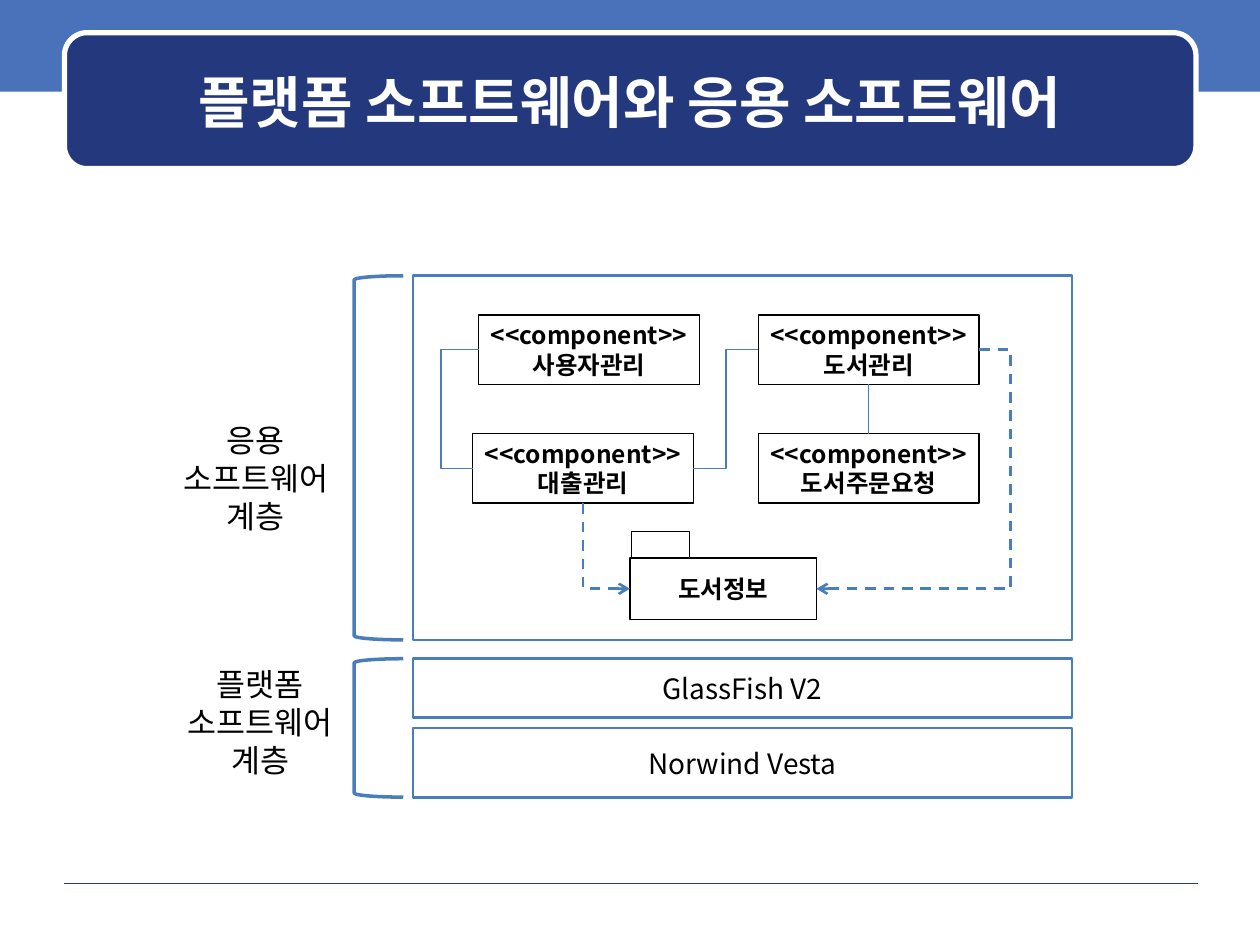
from dataclasses import dataclass

from pptx import Presentation
from pptx.dml.color import RGBColor
from pptx.enum.dml import MSO_LINE
from pptx.enum.shapes import MSO_CONNECTOR as CONN, MSO_SHAPE as SHAPE
from pptx.enum.text import MSO_ANCHOR, PP_ALIGN
from pptx.oxml.ns import qn
from pptx.util import Cm, Pt
from lxml.etree import SubElement


@dataclass(frozen=True)
class Theme:
    font: str = "Noto Sans CJK KR"
    band: str = "4972BB"
    title_fill: str = "23387D"
    rule: str = "1A3D97"
    accent: str = "4A7EBB"
    ink: str = "000000"
    paper: str = "FFFFFF"
    title_size: int = 32
    label_size: int = 18
    platform_size: int = 16
    component_size: int = 14


T = Theme()


def rgb(value):
    return RGBColor.from_string(value)


def write(sp, lines, size, color=T.ink, bold=False, side=0.25, wrap=True):
    """Put centred lines of text into a shape, one paragraph each."""
    tf = sp.text_frame
    tf.word_wrap = wrap
    tf.vertical_anchor = MSO_ANCHOR.MIDDLE
    tf.margin_left = tf.margin_right = Cm(side)
    tf.text = "\n".join(lines)
    for p in tf.paragraphs:
        p.alignment = PP_ALIGN.CENTER
        p.font.name, p.font.size, p.font.bold = T.font, Pt(size), bold
        p.font.color.rgb = rgb(color)
        for r in p.runs:
            SubElement(r._r.get_or_add_rPr(), qn("a:ea"), typeface=T.font)


def add_box(s, x, y, w, h, fill=None, line=None, weight=1.5,
            kind=SHAPE.RECTANGLE):
    sp = s.shapes.add_shape(kind, Cm(x), Cm(y), Cm(w), Cm(h))
    sp.shadow.inherit = False
    if fill:
        sp.fill.solid()
        sp.fill.fore_color.rgb = rgb(fill)
    else:
        sp.fill.background()
    if line:
        sp.line.color.rgb = rgb(line)
        sp.line.width = Pt(weight)
    else:
        sp.line.fill.background()
    return sp


def add_bracket(s, y, h):
    add_box(s, 7.14, y, 0.99, h, line=T.accent, weight=2,
            kind=SHAPE.LEFT_BRACKET)


def add_label(s, x, y, w, lines):
    sp = s.shapes.add_textbox(Cm(x), Cm(y), Cm(w), Cm(2.54))
    write(sp, lines, T.label_size, wrap=False)


def add_platform(s, y, h, name):
    sp = add_box(s, 8.33, y, 13.28, h, line=T.accent)
    write(sp, [name], T.platform_size)


def add_component(s, x, y, name):
    sp = add_box(s, x, y, 4.45, 1.4, line=T.ink, weight=0.75)
    write(sp, ["<<component>>", name], T.component_size, bold=True, side=0)
    return sp


def side_point(sp, side):
    """Middle of a side: 0 top, 1 left, 2 bottom, 3 right."""
    mid_x, mid_y = sp.left + sp.width // 2, sp.top + sp.height // 2
    return [(mid_x, sp.top), (sp.left, mid_y),
            (mid_x, sp.top + sp.height), (sp.left + sp.width, mid_y)][side]


def add_line(s, start, end, kind=CONN.STRAIGHT, color=T.accent, weight=0.75):
    c = s.shapes.add_connector(kind, *start, *end)
    c.line.color.rgb = rgb(color)
    c.line.width = Pt(weight)
    SubElement(c._element.spPr, qn("a:effectLst"))
    return c


def add_elbow(s, start, end, via_x=None, **style):
    """Leave start sideways, turn at via_x, and arrive at end sideways."""
    c = add_line(s, start, end, CONN.ELBOW, **style)
    if via_x is not None:
        ratio = (via_x - start[0]) / (end[0] - start[0])
        guides = c._element.spPr.find(qn("a:prstGeom")).get_or_add_avLst()
        SubElement(guides, qn("a:gd"), name="adj1",
                   fmla=f"val {round(ratio * 100000)}")
    return c


def dash_with_arrow(c, end):
    c.line.dash_style = MSO_LINE.DASH
    SubElement(c.line._get_or_add_ln(), qn(f"a:{end}"), type="arrow")


def add_header(s):
    add_box(s, 0, 0, 25.4, 1.85, fill=T.band)
    add_line(s, (Cm(1.3), Cm(17.81)), (Cm(24.16), Cm(17.81)),
             color=T.rule, weight=0.25)
    sp = add_box(s, 1.3, 0.66, 22.81, 2.74, fill=T.title_fill, line=T.paper,
                 weight=3, kind=SHAPE.ROUNDED_RECTANGLE)
    write(sp, ["플랫폼 소프트웨어와 응용 소프트웨어"], T.title_size,
          T.paper, bold=True)


def add_application_layer(s):
    add_bracket(s, 5.56, 7.34)
    add_label(s, 3.18, 8.36, 3.96, ["응용", "소프트웨어", "계층"])
    add_box(s, 8.33, 5.56, 13.28, 7.34, line=T.accent)

    # Components
    users = add_component(s, 9.65, 6.35, "사용자관리")
    books = add_component(s, 15.29, 6.35, "도서관리")
    loans = add_component(s, 9.53, 8.74, "대출관리")
    orders = add_component(s, 15.29, 8.74, "도서주문요청")

    # Package with its tab
    info = add_box(s, 12.7, 11.25, 3.76, 1.24, line=T.ink, weight=0.75)
    write(info, ["도서정보"], T.component_size, bold=True, side=0)
    add_box(s, 12.73, 10.72, 1.17, 0.53, line=T.ink, weight=0.75)

    # Associations
    add_elbow(s, side_point(users, 1), side_point(loans, 1), Cm(8.89))
    add_elbow(s, side_point(loans, 3), side_point(books, 1))
    link = add_line(s, side_point(books, 2), side_point(orders, 0))
    link.begin_connect(books, 2)
    link.end_connect(orders, 0)

    # Dependencies on the package
    c = add_elbow(s, side_point(books, 3), side_point(info, 3), Cm(20.37),
                  weight=1.5)
    dash_with_arrow(c, "tailEnd")
    c = add_elbow(s, side_point(info, 1), side_point(loans, 2), weight=1.5)
    c._element.spPr.find(qn("a:prstGeom")).set("prst", "bentConnector2")
    dash_with_arrow(c, "headEnd")


def add_platform_layer(s):
    add_bracket(s, 13.28, 2.79)
    add_label(s, 3.53, 13.28, 3.43, ["플랫폼", "소프트웨어", "계층"])
    add_platform(s, 13.28, 1.19, "GlassFish V2")
    add_platform(s, 14.68, 1.4, "Norwind Vesta")


def main():
    prs = Presentation()
    prs.slide_width, prs.slide_height = Cm(25.4), Cm(19.05)
    s = prs.slides.add_slide(prs.slide_layouts[6])
    add_header(s)
    add_application_layer(s)
    add_platform_layer(s)
    prs.save("out.pptx")


if __name__ == "__main__":
    main()
